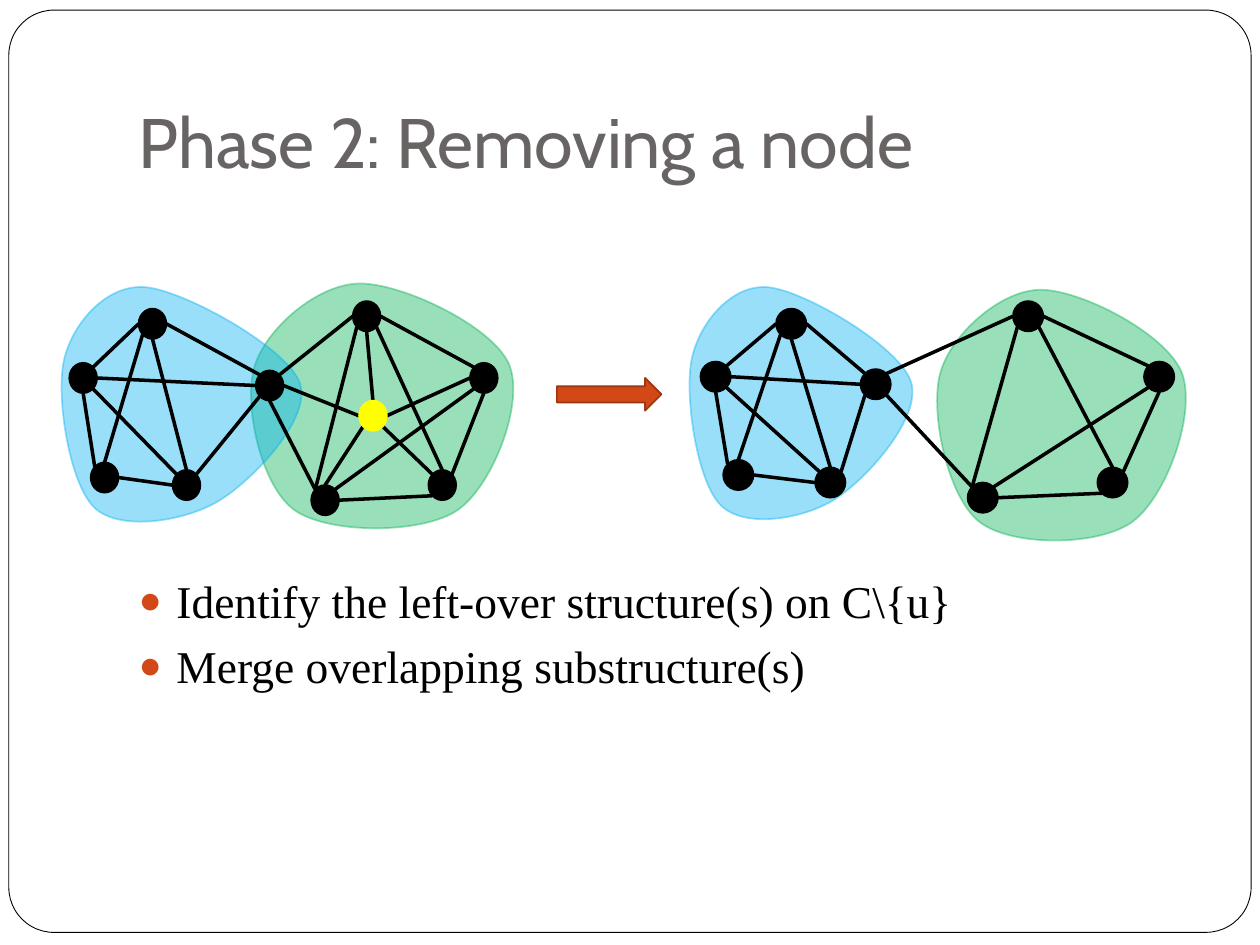
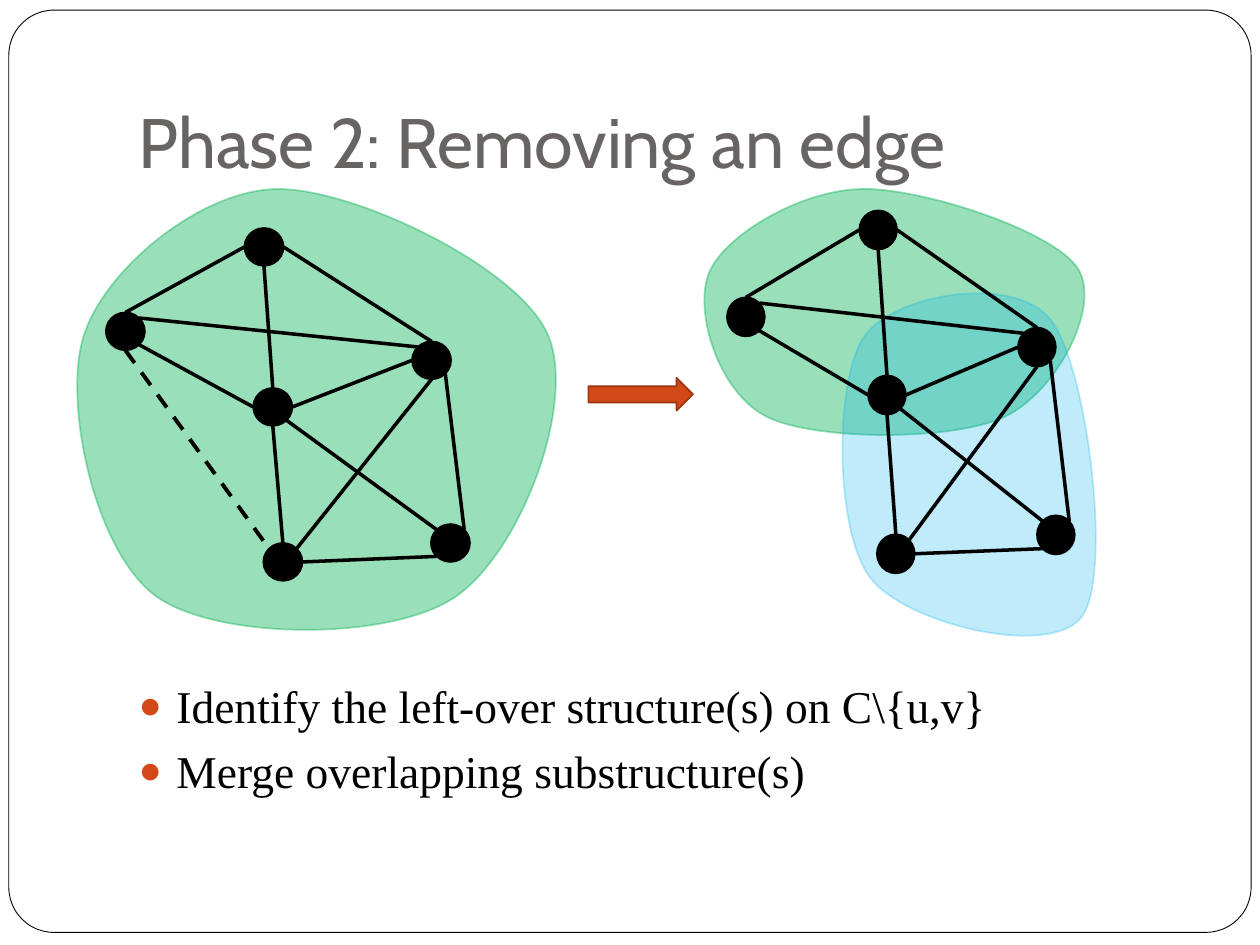
from math import cos, radians, sin

from lxml.etree import SubElement
from pptx import Presentation
from pptx.dml.color import RGBColor
from pptx.enum.dml import MSO_LINE
from pptx.enum.shapes import MSO_CONNECTOR, MSO_SHAPE
from pptx.enum.text import MSO_ANCHOR, MSO_AUTO_SIZE, PP_ALIGN
from pptx.oxml.ns import qn
from pptx.util import Pt

PX = 9144
BLACK = RGBColor(0x00, 0x00, 0x00)
WHITE = RGBColor(0xFF, 0xFF, 0xFF)
GRAY = RGBColor(0x69, 0x64, 0x64)
ORANGE = RGBColor(0xD3, 0x48, 0x17)
DARK_ORANGE = RGBColor(0x9C, 0x35, 0x11)
GREEN = RGBColor(0x00, 0xB0, 0x50)
BLUE = RGBColor(0x00, 0xB0, 0xF0)
YELLOW = RGBColor(0xFF, 0xFF, 0x00)

COMPASS = {name: radians(45 * step) for step, name in
           enumerate(("e", "se", "s", "sw", "w", "nw", "n", "ne"))}

CLIQUE_EDGES = """b.se-e.nw a.s-e.n a.e-d.nw b.s-c.nw c.e-e.w b.e-d.w b.ne-a.w d.sw-e.ne
    a.sw-c.n f.e-h.nw h.s-i.ne f.se-i.n f.sw-g.nw d.ne-f.w g.ne-h.sw g.e-i.sw"""
REMOVED_NODE_EDGES = "u.se-i.nw d.e-u.w f.s-u.n u.e-h.w u.sw-g.n"
COMMUNITY_EDGES = """p.e-s.n s.se-v.ne r.se-v.nw q.n-p.w q.se-r.w p.s-r.n r.e-s.w
    t.ne-s.s t.e-v.sw r.s-t.n q.ne-s.nw"""


class Deck:
    title_font = "Cabin"
    body_font = "Times New Roman"

    def __init__(self):
        self.presentation = Presentation()
        self.presentation.slide_width = 1000 * PX
        self.presentation.slide_height = 750 * PX
        self.slide = None

    def add_slide(self, title):
        self.slide = self.presentation.slides.add_slide(self.presentation.slide_layouts[1])
        if len(self.presentation.slides) == 1:
            self.add_frame()
        shape = self.slide.shapes.title
        self.place(shape, 100, 30, 850, 125)
        frame = shape.text_frame
        frame.text = title
        frame.word_wrap = True
        frame.auto_size = MSO_AUTO_SIZE.NONE
        frame.vertical_anchor = MSO_ANCHOR.BOTTOM
        frame.margin_bottom = 10 * PX
        paragraph = frame.paragraphs[0]
        paragraph.alignment = PP_ALIGN.LEFT
        self.format_font(paragraph.font, self.title_font, 40, GRAY)

    def add_frame(self):
        shape = self.add_shape(MSO_SHAPE.ROUNDED_RECTANGLE, (7, 8, 986, 732), WHITE, BLACK, 0.5)
        shape.adjustments[0] = 0.049
        self.presentation.slide_master.shapes._spTree.insert(2, shape._element)

    def add_bullets(self, top, lines):
        shape = self.slide.placeholders[1]
        self.place(shape, 100, top, 800, 117)
        frame = shape.text_frame
        frame.text = "\n".join(lines)
        frame.word_wrap = True
        frame.auto_size = MSO_AUTO_SIZE.NONE
        for paragraph in frame.paragraphs:
            paragraph.space_before = Pt(5.8)
            properties = paragraph._p.get_or_add_pPr()
            properties.set("marL", str(30 * PX))
            properties.set("indent", str(-30 * PX))
            color = SubElement(properties, qn("a:buClr"))
            SubElement(color, qn("a:srgbClr"), val=str(ORANGE))
            SubElement(properties, qn("a:buSzPct"), val="85000")
            SubElement(properties, qn("a:buChar"), char="●")
            self.format_font(paragraph.font, self.body_font, 26, BLACK)

    def add_shape(self, kind, box, fill, line, width=1.0):
        shape = self.slide.shapes.add_shape(kind, *(value * PX for value in box))
        self.paint(shape, fill, line, width)
        return shape

    def add_arrow(self, left):
        self.add_shape(MSO_SHAPE.RIGHT_ARROW, (left, 300, 83, 26), ORANGE, DARK_ORANGE)

    def add_blob(self, knots, color, opacity=40):
        points = []
        count = len(knots)
        for index, start in enumerate(knots):
            before = knots[index - 1]
            end = knots[(index + 1) % count]
            after = knots[(index + 2) % count]
            points.append([s + (e - b) / 6 for b, s, e in zip(before, start, end)])
            points.append([e - (a - s) / 6 for s, e, a in zip(start, end, after)])
            points.append(end)
        builder = self.slide.shapes.build_freeform(*knots[0], scale=PX)
        builder.add_line_segments(points, close=True)
        shape = builder.convert_to_shape()
        self.paint(shape, color, color, 1)
        segments = list(shape._element.iter(qn("a:lnTo")))
        for first in range(0, len(segments), 3):
            curve = segments[first]
            for segment in segments[first + 1:first + 3]:
                curve.append(segment[0])
                segment.getparent().remove(segment)
            curve.tag = qn("a:cubicBezTo")
        for color_element in shape._element.spPr.iter(qn("a:srgbClr")):
            SubElement(color_element, qn("a:alpha"), val=str(opacity * 1000))

    def add_graph(self, nodes, size, edges, dashed="", highlighted=""):
        for edge in edges.split():
            self.add_edge(nodes, size, edge)
        for edge in dashed.split():
            self.add_edge(nodes, size, edge, 2.25, MSO_LINE.DASH)
        for name, corner in nodes.items():
            color = YELLOW if name == highlighted else BLACK
            self.add_shape(MSO_SHAPE.OVAL, (*corner, *size), color, color)

    def add_edge(self, nodes, size, edge, width=2.0, dash=None):
        ends = []
        for end in edge.split("-"):
            name, side = end.split(".")
            left, top = nodes[name]
            angle = COMPASS[side]
            ends.append(round((left + size[0] / 2 * (1 + cos(angle))) * PX))
            ends.append(round((top + size[1] / 2 * (1 + sin(angle))) * PX))
        connector = self.slide.shapes.add_connector(MSO_CONNECTOR.STRAIGHT, *ends)
        connector.line.color.rgb = BLACK
        connector.line.width = Pt(width)
        if dash:
            connector.line.dash_style = dash
        SubElement(connector._element.spPr, qn("a:effectLst"))

    @staticmethod
    def paint(shape, fill, line, width):
        shape.shadow.inherit = False
        shape.fill.solid()
        shape.fill.fore_color.rgb = fill
        shape.line.color.rgb = line
        shape.line.width = Pt(width)

    @staticmethod
    def place(shape, left, top, width, height):
        shape.left, shape.top = left * PX, top * PX
        shape.width, shape.height = width * PX, height * PX

    @staticmethod
    def format_font(font, name, size, color):
        font.name = name
        font.size = Pt(size)
        font.color.rgb = color


def build_node_slide(deck):
    deck.add_slide("Phase 2: Removing a node")
    deck.add_blob([(826, 230), (746, 297), (777, 414), (899, 414), (938, 296)], GREEN)
    deck.add_blob([(610, 228), (549, 285), (572, 401), (663, 396), (723, 303)], BLUE)
    after = {"a": (616, 245), "b": (556, 287), "c": (574, 365), "d": (683, 293),
             "e": (647, 371), "f": (804, 239), "g": (768, 383), "h": (908, 287),
             "i": (871, 371)}
    deck.add_graph(after, (24, 24), CLIQUE_EDGES + " d.se-g.nw")
    deck.add_blob([(286, 225), (202, 291), (234, 405), (363, 405), (404, 289)], GREEN)
    deck.add_blob([(116, 228), (51, 285), (75, 403), (173, 398), (238, 304)], BLUE)
    before = {"a": (110, 245), "b": (55, 288), "c": (72, 367), "d": (203, 294),
              "e": (137, 373), "f": (280, 239), "g": (247, 385), "h": (373, 288),
              "i": (340, 373), "u": (285, 318)}
    deck.add_graph(before, (22, 24), f"{CLIQUE_EDGES} d.s-g.nw {REMOVED_NODE_EDGES}",
                   highlighted="u")
    deck.add_arrow(442)
    deck.add_bullets(450, ["Identify the left-over structure(s) on C\\{u}",
                           "Merge overlapping substructure(s)"])


def build_edge_slide(deck):
    deck.add_slide("Phase 2: Removing an edge")
    deck.add_blob([(686, 150), (563, 216), (609, 331), (797, 331), (856, 214)], GREEN)
    deck.add_blob([(834, 254), (686, 267), (691, 459), (859, 489)], BLUE, 25)
    after = {"p": (682, 167), "q": (577, 236), "r": (689, 298),
             "s": (808, 260), "t": (696, 424), "v": (823, 409)}
    deck.add_graph(after, (30, 31), COMMUNITY_EDGES)
    deck.add_blob([(221, 150), (66, 268), (125, 474), (361, 474), (435, 266)], GREEN)
    before = {"p": (194, 181), "q": (84, 248), "r": (201, 308),
              "s": (327, 271), "t": (209, 431), "v": (342, 416)}
    deck.add_graph(before, (31, 30), COMMUNITY_EDGES, dashed="q.s-t.nw")
    deck.add_arrow(467)
    deck.add_bullets(533, ["Identify the left-over structure(s) on C\\{u,v}",
                           "Merge overlapping substructure(s)"])


def main():
    deck = Deck()
    build_node_slide(deck)
    build_edge_slide(deck)
    deck.presentation.save("out.pptx")


if __name__ == "__main__":
    main()
